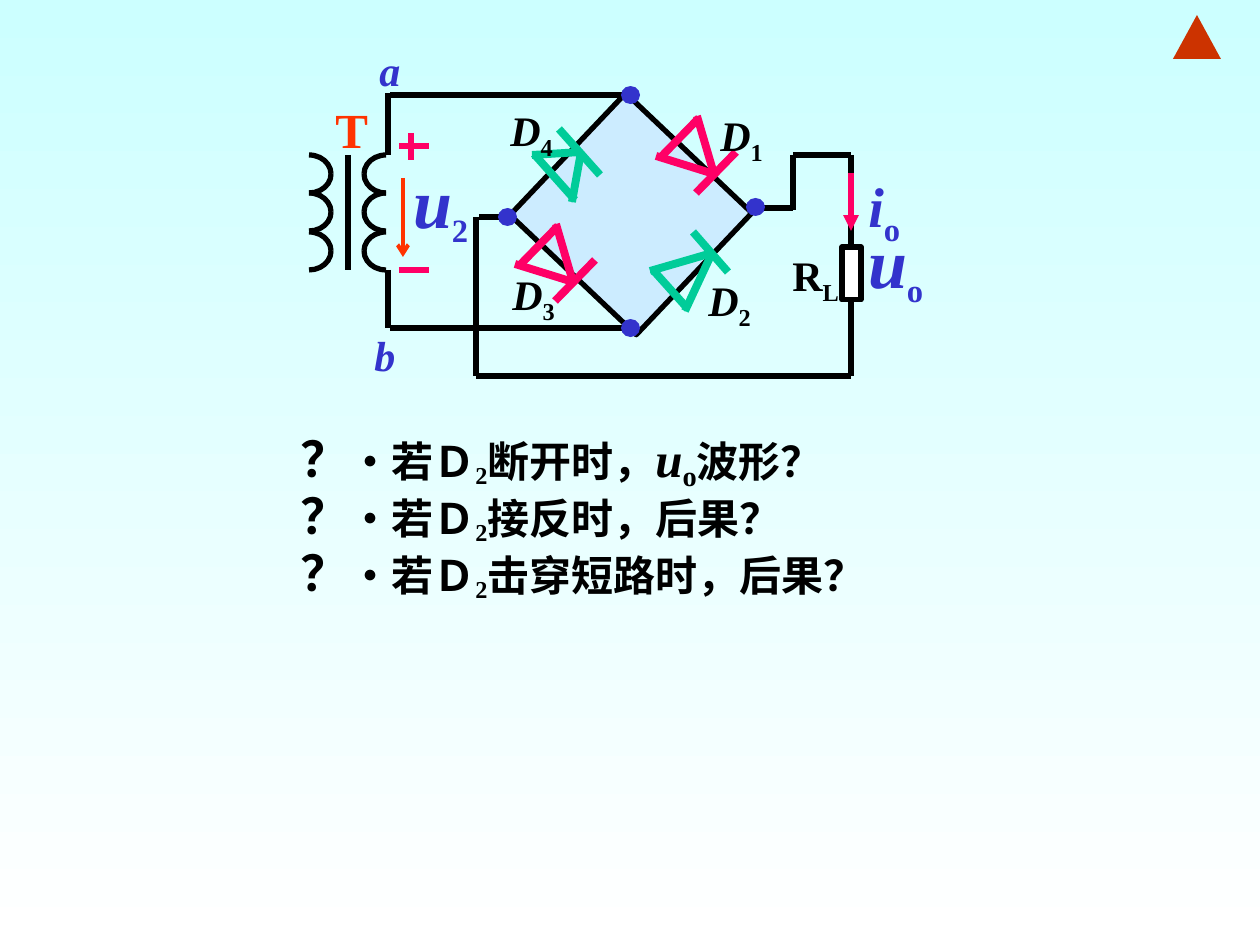
from dataclasses import dataclass

from pptx import Presentation
from pptx.dml.color import RGBColor
from pptx.enum.shapes import MSO_CONNECTOR as Connector, MSO_SHAPE as Shape
from pptx.enum.text import MSO_ANCHOR as Anchor, MSO_AUTO_SIZE as AutoSize, PP_ALIGN as Align
from pptx.oxml.ns import qn
from pptx.slide import Slide
from pptx.util import Emu, Pt
from lxml.etree import SubElement

BLACK = RGBColor(0x00, 0x00, 0x00)
WHITE = RGBColor(0xFF, 0xFF, 0xFF)
AQUA = RGBColor(0xCC, 0xFF, 0xFF)
PALE_BLUE = RGBColor(0xCC, 0xEC, 0xFF)
BLUE = RGBColor(0x33, 0x33, 0xCC)
GREEN = RGBColor(0x00, 0xCC, 0x99)
PINK = RGBColor(0xFF, 0x00, 0x66)
ORANGE = RGBColor(0xFF, 0x33, 0x00)
RUST = RGBColor(0xCC, 0x33, 0x00)


def px(length):
    return Emu(round(length * 914400 / 126))


@dataclass
class CircuitSlide:
    """Draws wires, symbols and labels in one style on one slide."""

    slide: Slide
    font: str = "Times New Roman"
    wire_width: float = 3
    diode_width: float = 4.5

    def background(self, top, bottom):
        fill = self.slide.background.fill
        fill.gradient()
        fill.gradient_angle = 270
        for stop, color, position in zip(fill.gradient_stops, (top, bottom), (0, 1)):
            stop.color.rgb = color
            stop.position = position

    def wire(self, x1, y1, x2, y2, color=BLACK, width=None, head=None):
        wire = self.slide.shapes.add_connector(
            Connector.STRAIGHT, px(x1), px(y1), px(x2), px(y2))
        wire.line.color.rgb = color
        wire.line.width = Pt(width or self.wire_width)
        if head:
            SubElement(wire.line._get_or_add_ln(), qn("a:tailEnd"), type=head)
        SubElement(wire._element.spPr, qn("a:effectLst"))

    def symbol(self, kind, box, fill=None, line=BLACK, rotation=0):
        symbol = self.slide.shapes.add_shape(kind, *map(px, box))
        symbol.shadow.inherit = False
        symbol.rotation = rotation
        if fill is None:
            symbol.fill.background()
        else:
            symbol.fill.solid()
            symbol.fill.fore_color.rgb = fill
        if line is None:
            symbol.line.fill.background()
        else:
            symbol.line.color.rgb = line
            symbol.line.width = Pt(self.wire_width)
        return symbol

    def coil(self, left, top, start_angles):
        for turn in range(3):
            for start in start_angles:
                arc = self.symbol(Shape.ARC, (left, top + round(38.5 * turn), 44, 38))
                arc.adjustments[0] = start * 0.6
                arc.adjustments[1] = (start + 90) % 360 * 0.6

    def diode(self, color, base, bar, corners, tip, dx=0, dy=0):
        sides = [(*corner, *tip) for corner in corners]
        for x1, y1, x2, y2 in (base, bar, *sides):
            self.wire(x1 + dx, y1 + dy, x2 + dx, y2 + dy, color, self.diode_width)

    def text(self, box, runs, color=BLACK, wrap=False, centered=False):
        label = self.slide.shapes.add_textbox(*map(px, box))
        frame = label.text_frame
        frame.word_wrap = wrap
        frame.auto_size = AutoSize.SHAPE_TO_FIT_TEXT
        paragraph = frame.paragraphs[0]
        if centered:
            frame.vertical_anchor = Anchor.MIDDLE
            paragraph.alignment = Align.CENTER
        for words, size, baseline, italic, *font in runs:
            run = paragraph.add_run()
            run.text = words
            run.font.name = font[0] if font else self.font
            run.font.size = Pt(size)
            run.font.bold = True
            run.font.italic = italic
            run.font.color.rgb = color
            if baseline:
                run._r.get_or_add_rPr().set("baseline", str(baseline * 1000))

    def voltage(self, left, top, subscript):
        self.text((left, top, 105, 103), [("u", 40, 0, True), (subscript, 32, -25, False)],
                  BLUE, centered=True)


def draw_transformer(circuit):
    circuit.coil(287, 155, (270, 0))
    circuit.coil(364, 155, (90, 180))
    circuit.wire(348, 155, 348, 270)
    circuit.wire(388, 93, 388, 155)
    circuit.wire(388, 270, 388, 328)
    circuit.wire(403, 178, 403, 257, ORANGE, 2.25, "arrow")
    circuit.voltage(388, 152, "2")
    circuit.text((323, 93, 58, 72), [("T", 28, 0, False)], ORANGE)
    for y in (95, 328):
        circuit.wire(390, y, 631, y)


def draw_bridge(circuit):
    circuit.symbol(Shape.RECTANGLE, (544, 130, 174, 168), PALE_BLUE, rotation=43.5)
    falling = ((659, 159, 699, 118), (696, 193, 736, 152), ((656, 156), (697, 116)), (714, 174))
    circuit.diode(PINK, *falling)
    circuit.diode(GREEN, (575, 200, 534, 154), (600, 175, 559, 129),
                  ((572, 202), (532, 155)), (581, 152))
    circuit.diode(GREEN, (688, 309, 653, 270), (728, 272, 693, 232),
                  ((685, 311), (650, 271)), (712, 253))
    circuit.diode(PINK, *falling, dx=-141, dy=108)


def draw_load(circuit):
    for ends in ((756, 208, 793, 208), (793, 210, 793, 155), (479, 217, 508, 217),
                 (476, 217, 476, 376), (793, 155, 851, 155), (851, 155, 851, 376),
                 (476, 376, 851, 376)):
        circuit.wire(*ends)
    circuit.symbol(Shape.RECTANGLE, (842, 247, 19, 53), WHITE)
    circuit.text((780, 243, 72, 71), [("R", 24, 0, False), ("L", 24, -25, False)])


def draw_labels(circuit):
    for number, left, top in (("1", 708, 103), ("4", 498, 98), ("3", 500, 262), ("2", 696, 268)):
        circuit.text((left, top, 68, 71), [("D", 24, 0, True), (number, 24, -25, False)])
    for ends in ((399, 146, 429, 146), (399, 270, 429, 270), (411, 133, 411, 160)):
        circuit.wire(*ends, PINK)
    circuit.wire(851, 173, 851, 231, PINK, head="triangle")
    circuit.voltage(843, 212, "o")
    circuit.text((856, 165, 57, 89), [("i", 32, 0, True), ("o", 32, -25, False)], BLUE)
    for terminal, left, top in (("a", 367, 38), ("b", 362, 323)):
        circuit.text((left, top, 45, 63), [(terminal, 24, 0, True)], BLUE)
    for left, top in ((498, 208), (746, 198), (621, 319), (621, 86)):
        circuit.symbol(Shape.OVAL, (left, top, 19, 18), BLUE, None)


def write_questions(circuit):
    opening = [("？", 28, 0, False), ("•", 24, 0, False, "Arial"),
               ("若Ｄ", 24, 0, False), ("2", 24, -18, False)]
    questions = (
        [("断开时，", 24, 0, False), ("u", 28, 0, True), ("o", 28, -20, False),
         ("波形？", 24, 0, False)],
        [("接反时，后果？", 24, 0, False)],
        [("击穿短路时，后果？", 24, 0, False)],
    )
    for row, question in enumerate(questions):
        circuit.text((288, 422 + 57 * row, 669, 75), opening + question, wrap=True)


def main():
    deck = Presentation()
    deck.slide_width, deck.slide_height = px(1260), px(945)
    circuit = CircuitSlide(deck.slides.add_slide(deck.slide_layouts[6]))
    circuit.background(AQUA, WHITE)
    circuit.symbol(Shape.ISOSCELES_TRIANGLE, (1173, 15, 48, 44), RUST, None)
    draw_transformer(circuit)
    draw_bridge(circuit)
    draw_load(circuit)
    draw_labels(circuit)
    write_questions(circuit)
    deck.save("out.pptx")


if __name__ == "__main__":
    main()
